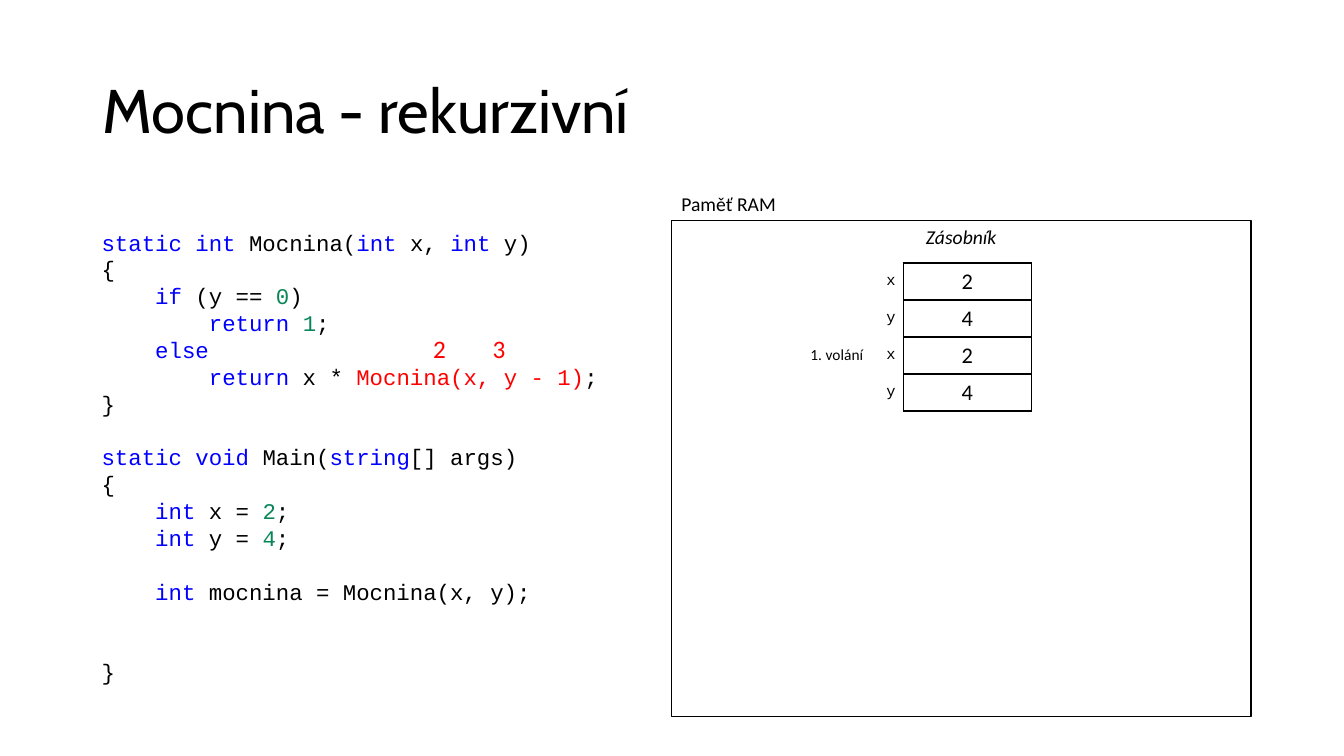
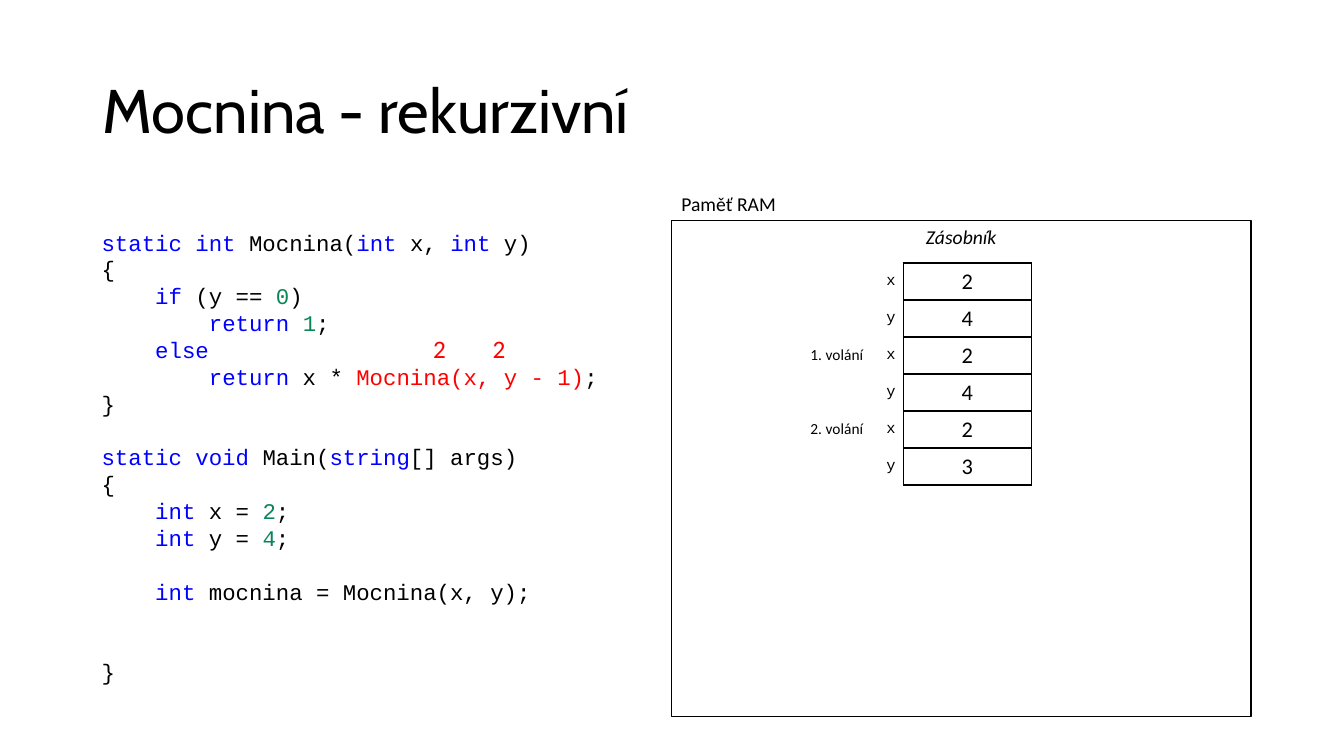
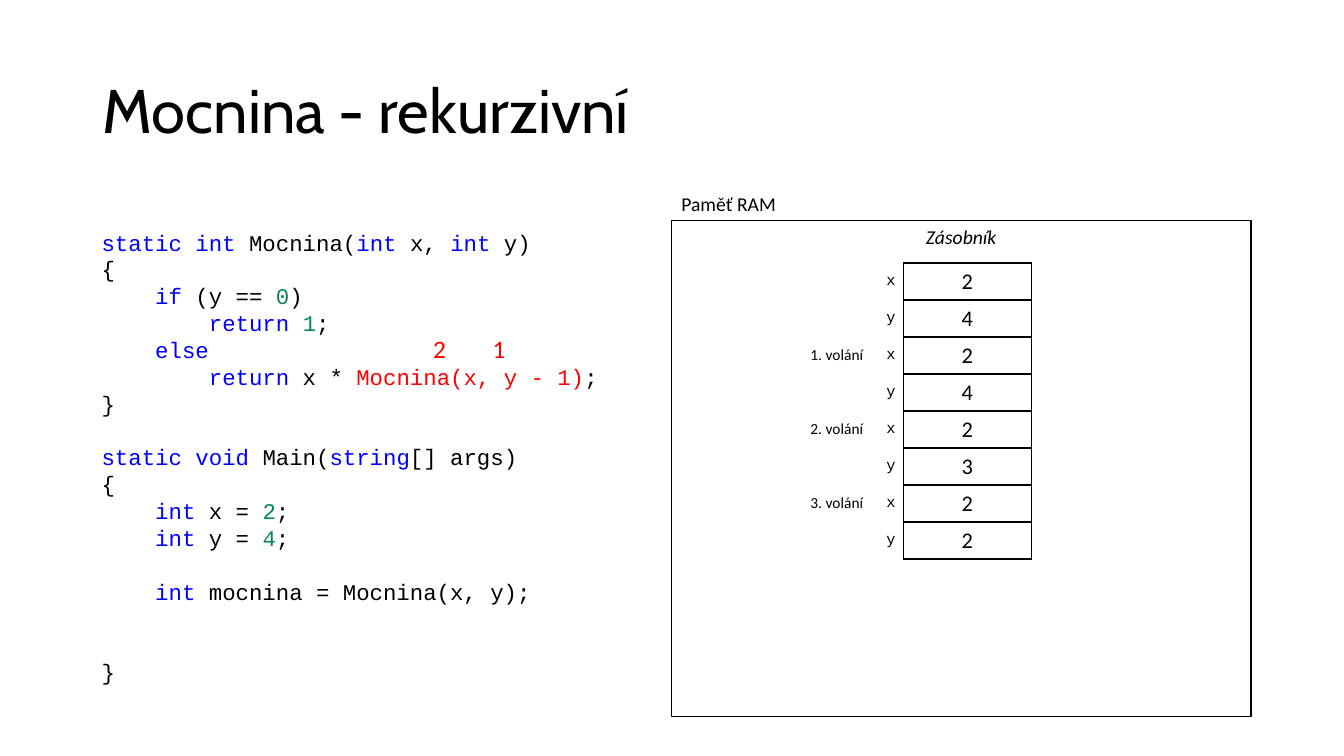
"""Builds three slides that follow the call stack of a recursive power function."""
from lxml import etree
from pptx import Presentation
from pptx.dml.color import RGBColor
from pptx.enum.shapes import MSO_SHAPE as SHAPE
from pptx.enum.text import MSO_ANCHOR as ANCHOR, PP_ALIGN as ALIGN
from pptx.oxml.ns import qn
from pptx.util import Pt

COLORS = {
    "text": "000000",
    "paper": "FFFFFF",
    "keyword": "0000FF",
    "number": "098658",
    "call": "FF0000",
}
TITLE_FONT, BODY_FONT, CODE_FONT = "Cabin", "Calibri", "Courier New"
CODE_PITCH = 19.2
ROW_HEIGHT = 26.4
COLUMNS = (54, 19.4, 91.6, 63.4)
RAM_LEFT, RAM_WIDTH = 479.6, 414
BASE, EXPONENT = 2, 4

CODE = [
    (0, [("static int", "keyword"), (" Mocnina(", "text"), ("int", "keyword"),
         (" x, ", "text"), ("int", "keyword"), (" y)", "text")]),
    (0, [("{", "text")]),
    (0, [("    ", "text"), ("if", "keyword"), (" (y == ", "text"),
         ("0", "number"), (")", "text")]),
    (0, [("        ", "text"), ("return ", "keyword"), ("1", "number"), (";", "text")]),
    (0, [("    ", "text"), ("else", "keyword")]),
    (0, [("        ", "text"), ("return", "keyword"), (" x * ", "text"),
         ("Mocnina(x, y - 1)", "call"), (";", "text")]),
    (0, [("}", "text")]),
    (1, [("static void ", "keyword"), ("Main(", "text"), ("string", "keyword"),
         ("[] args)", "text")]),
    (0, [("{", "text")]),
    (0, [("    ", "text"), ("int", "keyword"), (" x = ", "text"),
         (str(BASE), "number"), (";", "text")]),
    (0, [("    ", "text"), ("int", "keyword"), (" y = ", "text"),
         (str(EXPONENT), "number"), (";", "text")]),
    (1, [("    ", "text"), ("int", "keyword"), (" mocnina = Mocnina(x, y);", "text")]),
    (2, [("}", "text")]),
]


def rgb(name):
    """Return a palette colour."""
    return RGBColor.from_string(COLORS[name])


def style(r, size, font=BODY_FONT, color="text", italic=False):
    """Format one run."""
    r.font.size = Pt(size)
    r.font.name = font
    r.font.color.rgb = rgb(color)
    r.font.italic = italic


def add_frame(slide, left, top, width, height):
    """Add a wrapping text box and return its text frame."""
    tf = slide.shapes.add_textbox(Pt(left), Pt(top), Pt(width), Pt(height)).text_frame
    tf.word_wrap = True
    return tf


def add_label(slide, box, text, size, align=ALIGN.LEFT, **look):
    """Add a text box with one formatted line and return its text frame."""
    tf = add_frame(slide, *box)
    p = tf.paragraphs[0]
    p.text = text
    p.alignment = align
    style(p.runs[0], size, **look)
    return tf


def add_title(slide, text):
    """Add the slide title."""
    tf = add_label(slide, (66.2, 28.8, 828, 104.4), text, 44, font=TITLE_FONT)
    tf.vertical_anchor = ANCHOR.MIDDLE
    tf.paragraphs[0].line_spacing = 0.9


def add_code(slide):
    """Add the coloured program listing."""
    tf = add_frame(slide, 65.5, 159.8, 414, 349.2)
    for i, (gap, tokens) in enumerate(CODE):
        p = tf.add_paragraph() if i else tf.paragraphs[0]
        p.line_spacing = Pt(CODE_PITCH)
        p.space_before = Pt(gap * CODE_PITCH)
        for text, color in tokens:
            r = p.add_run()
            r.text = text
            style(r, 16, CODE_FONT, color)


def add_memory(slide):
    """Add the memory frame with its two captions."""
    sp = slide.shapes.add_shape(SHAPE.RECTANGLE, Pt(RAM_LEFT), Pt(157.7),
                                Pt(RAM_WIDTH), Pt(354.2))
    sp.shadow.inherit = False
    sp.fill.solid()
    sp.fill.fore_color.rgb = rgb("paper")
    sp.line.color.rgb = rgb("text")
    sp.line.width = Pt(1)
    add_label(slide, (RAM_LEFT, 133.2, RAM_WIDTH, 24.5), "Paměť RAM", 14)
    add_label(slide, (RAM_LEFT, 157, RAM_WIDTH, 24.5), "Zásobník", 14,
              ALIGN.CENTER, italic=True)


def set_borders(cell, sides):
    """Draw the named sides of a cell and leave the others empty."""
    tc_pr = cell._tc.get_or_add_tcPr()
    for i, side in enumerate("LRTB"):
        ln = etree.Element(qn(f"a:ln{side}"), w=str(Pt(1)))
        if side in sides:
            fill = etree.SubElement(ln, qn("a:solidFill"))
            etree.SubElement(fill, qn("a:srgbClr"), val=COLORS["text"])
        else:
            etree.SubElement(ln, qn("a:noFill"))
        tc_pr.insert(i, ln)


def fill_cell(cell, text, size, font, align, sides, margins):
    """Write and format one cell of the stack."""
    cell.fill.background()
    set_borders(cell, sides)
    cell.margin_left, cell.margin_right = (Pt(m) for m in margins)
    cell.vertical_anchor = ANCHOR.MIDDLE
    if not text:
        cell.margin_top = cell.margin_bottom = 0
        return
    p = cell.text_frame.paragraphs[0]
    p.text = text
    p.alignment = align
    style(p.runs[0], size, font)


def add_stack(slide, calls):
    """Add the stack with the variables of Main and of each call."""
    rows = [("", "x", BASE), ("", "y", EXPONENT)]
    for n in range(calls):
        rows += [(f"{n + 1}. volání", "x", BASE), ("", "y", EXPONENT - n)]
    table = slide.shapes.add_table(len(rows), len(COLUMNS), Pt(571.7), Pt(187.9),
                                   Pt(sum(COLUMNS)), Pt(ROW_HEIGHT * len(rows))).table
    table.first_row = table.horz_banding = False
    for column, width in zip(table.columns, COLUMNS):
        column.width = Pt(width)
    for i, (call, name, value) in enumerate(rows):
        table.rows[i].height = Pt(ROW_HEIGHT)
        looks = (
            (call, 11, BODY_FONT, ALIGN.LEFT, "", (7.2, 0)),
            (name, 11, CODE_FONT, ALIGN.RIGHT, "R", (0, 5.4)),
            (str(value), 16, BODY_FONT, ALIGN.CENTER, "LRTB", (7.2, 7.2)),
            ("", 11, BODY_FONT, ALIGN.LEFT, "L", (0, 0)),
        )
        for j, look in enumerate(looks):
            fill_cell(table.cell(i, j), *look)


def add_arguments(slide, calls):
    """Add the values passed to the next call above the code."""
    for left, value in ((344.9, EXPONENT - calls), (302.4, BASE)):
        add_label(slide, (left, 234.7, 28.8, 28.8), str(value), 18, color="call")


def main():
    """Build and save the deck."""
    prs = Presentation()
    prs.slide_width, prs.slide_height = Pt(960), Pt(540)
    for calls in (1, 2, 3):
        slide = prs.slides.add_slide(prs.slide_layouts[6])
        add_title(slide, "Mocnina - rekurzivní")
        add_memory(slide)
        add_code(slide)
        add_stack(slide, calls)
        add_arguments(slide, calls)
    prs.save("out.pptx")


if __name__ == "__main__":
    main()
